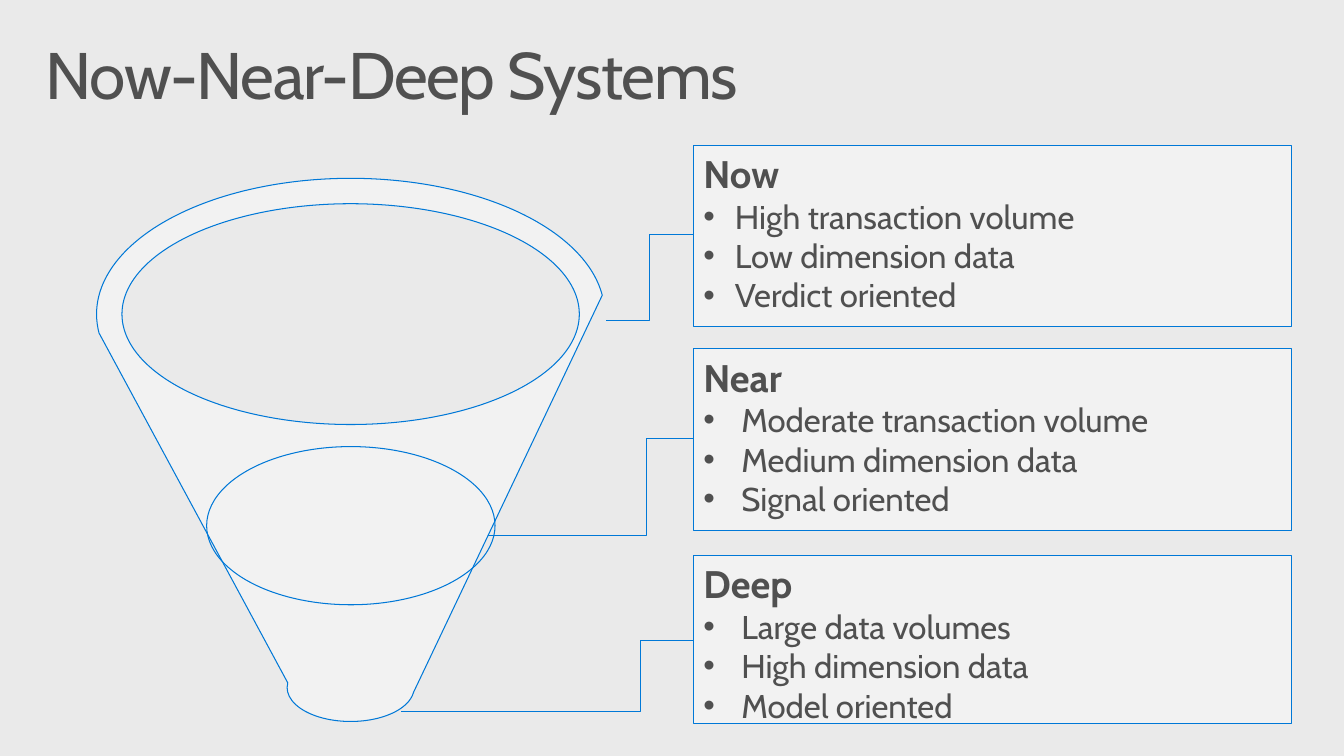
from typing import NamedTuple

from lxml.etree import SubElement
from pptx import Presentation
from pptx.dml.color import RGBColor
from pptx.enum.shapes import MSO_CONNECTOR as Connector, MSO_SHAPE as Shape
from pptx.enum.text import MSO_ANCHOR as Anchor, PP_ALIGN as Align
from pptx.oxml.ns import qn
from pptx.shapes.autoshape import Shape as AutoShape
from pptx.slide import Slide
from pptx.text.text import _Paragraph as Paragraph
from pptx.util import Pt

BACKGROUND = RGBColor(0xEA, 0xEA, 0xEA)
WHITE = RGBColor(0xFF, 0xFF, 0xFF)
BLUE = RGBColor(0x00, 0x78, 0xD7)
GRAY = RGBColor(0x50, 0x50, 0x50)

FONT = "Cabin"
TITLE_FORMAT = {"name": FONT, "size": Pt(47)}
HEADING_FORMAT = {"name": FONT, "size": Pt(27.4), "bold": True}
BULLET_FORMAT = {"name": FONT, "size": Pt(23.5), "bold": False}

FILL_OPACITY = 40
LINE_WIDTH = 0.75
PANEL_LEFT, PANEL_WIDTH = 495.4, 427


class Area(NamedTuple):
    left: float
    top: float
    width: float
    height: float


class Leader(NamedTuple):
    start_y: float
    end_x: float
    end_y: float
    bend: float


class Panel(NamedTuple):
    heading: str
    bullets: tuple[str, ...]
    top: float
    height: float
    indent: float
    leader: Leader


PANELS = (
    Panel("Deep", ("Large data volumes", "High dimension data", "Model oriented"),
          396.7, 120.2, 27, Leader(457.2, 286.6, 508.3, 0.18)),
    Panel("Near", ("Moderate transaction volume", "Medium dimension data", "Signal oriented"),
          249.1, 129.6, 27, Leader(313.2, 348.5, 382.3, 0.23)),
    Panel("Now", ("High transaction volume", "Low dimension data", "Verdict oriented"),
          103.7, 129.6, 22.5, Leader(167.8, 432.7, 229, 0.5)),
)


def add_span(para: Paragraph, text: str, style: dict) -> None:
    span = para.add_run()
    span.text = text
    for key, value in style.items():
        setattr(span.font, key, value)
    span.font.color.rgb = GRAY


def add_bullet(para: Paragraph, indent: float) -> None:
    properties = para._p.get_or_add_pPr()
    properties.set("marL", str(Pt(indent)))
    properties.set("indent", str(-Pt(indent)))
    SubElement(properties, qn("a:buFont"), typeface="Arial")
    SubElement(properties, qn("a:buChar"), char="•")


def add_outline(page: Slide, kind: Shape, area: Area, filled: bool = True) -> AutoShape:
    """Draw a blue-edged shape, with a translucent white fill if filled."""
    shape = page.shapes.add_shape(kind, *map(Pt, area))
    shape.shadow.inherit = False
    shape.line.color.rgb = BLUE
    shape.line.width = Pt(LINE_WIDTH)
    if filled:
        shape.fill.solid()
        shape.fill.fore_color.rgb = WHITE
        color = shape._element.spPr.find(qn("a:solidFill"))[0]
        SubElement(color, qn("a:alpha"), val=str(FILL_OPACITY * 1000))
    else:
        shape.fill.background()
    return shape


def add_leader(page: Slide, leader: Leader) -> None:
    line = page.shapes.add_connector(
        Connector.ELBOW, Pt(PANEL_LEFT), Pt(leader.start_y), Pt(leader.end_x), Pt(leader.end_y))
    line.line.color.rgb = BLUE
    line.line.width = Pt(LINE_WIDTH)
    properties = line._element.spPr
    guides = properties.find(qn("a:prstGeom")).get_or_add_avLst()
    SubElement(guides, qn("a:gd"), name="adj1", fmla=f"val {round(leader.bend * 100000)}")
    SubElement(properties, qn("a:effectLst"))


def add_panel(page: Slide, panel: Panel) -> None:
    box = add_outline(page, Shape.RECTANGLE,
                      Area(PANEL_LEFT, panel.top, PANEL_WIDTH, panel.height))
    frame = box.text_frame
    frame.word_wrap = True
    frame.vertical_anchor = Anchor.TOP
    heading = frame.paragraphs[0]
    heading.alignment = Align.LEFT
    add_span(heading, panel.heading, HEADING_FORMAT)
    for text in panel.bullets:
        para = frame.add_paragraph()
        para.alignment = Align.LEFT
        add_bullet(para, panel.indent)
        add_span(para, text, BULLET_FORMAT)
    add_leader(page, panel.leader)


def add_title(page: Slide, text: str, area: Area) -> None:
    box = page.shapes.add_textbox(*map(Pt, area))
    frame = box.text_frame
    frame.word_wrap = True
    frame.margin_left = frame.margin_right = Pt(11.5)
    frame.margin_top = frame.margin_bottom = Pt(7.2)
    para = frame.paragraphs[0]
    para.line_spacing = 0.9
    add_span(para, text, TITLE_FORMAT)
    para.runs[0]._r.get_or_add_rPr().set("spc", "-100")


def main() -> None:
    deck = Presentation()
    deck.slide_width, deck.slide_height = Pt(960), Pt(540)
    page = deck.slides.add_slide(deck.slide_layouts[6])
    page.background.fill.solid()
    page.background.fill.fore_color.rgb = BACKGROUND

    add_title(page, "Now-Near-Deep Systems", Area(21, 23, 918, 70.6))
    add_outline(page, Shape.FUNNEL, Area(69, 127.4, 363, 388))
    add_outline(page, Shape.OVAL, Area(147.6, 319, 206, 113), filled=False)
    for panel in PANELS:
        add_panel(page, panel)
    deck.save("out.pptx")


if __name__ == "__main__":
    main()
